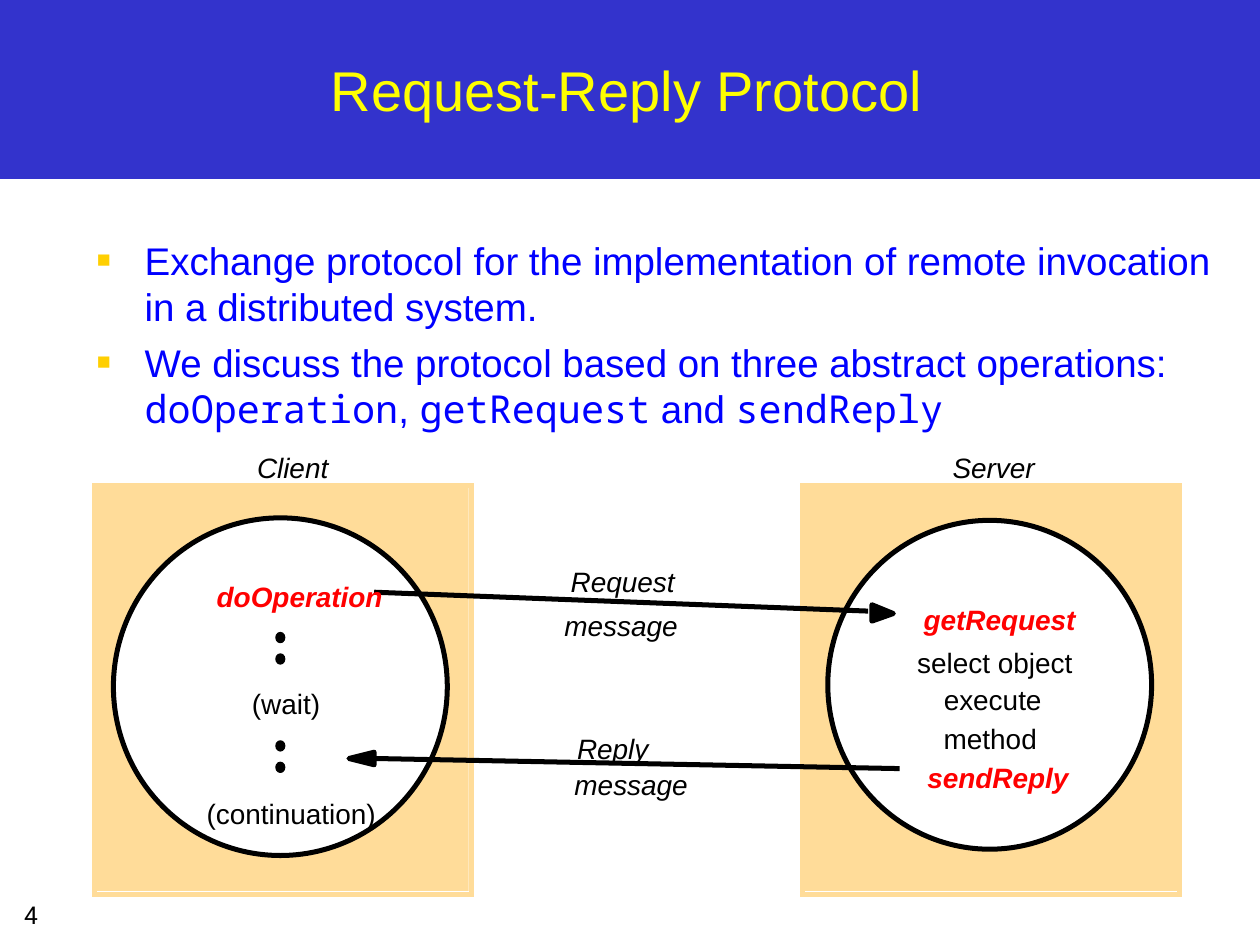
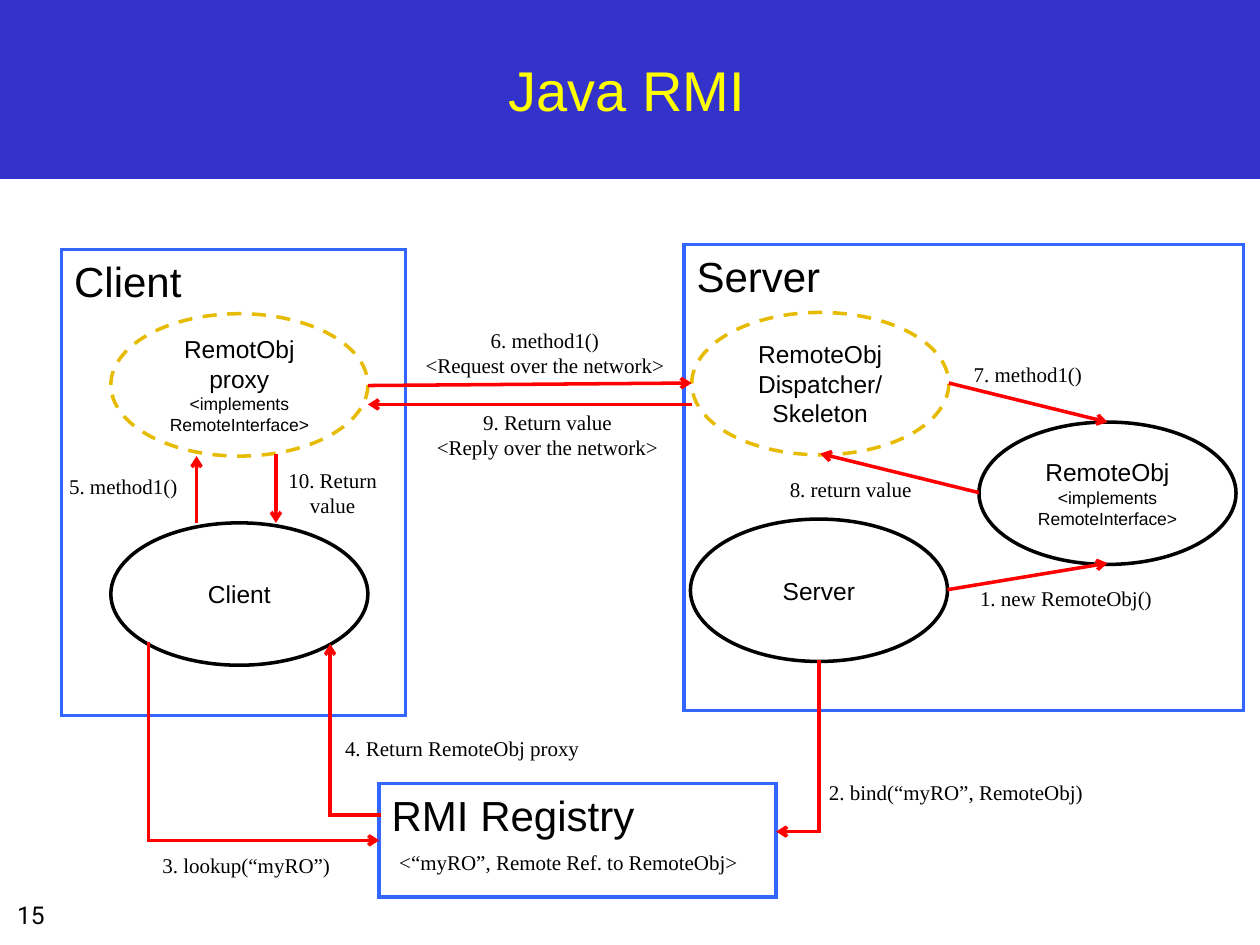
from dataclasses import dataclass
from itertools import pairwise
from typing import NamedTuple

import lxml.etree
import pptx
import pptx.dml.color
import pptx.enum.dml
import pptx.enum.shapes
import pptx.enum.text
import pptx.oxml.ns
import pptx.presentation
import pptx.shapes.autoshape
import pptx.slide
import pptx.text.text
import pptx.util

COLUMNS, ROWS = 100, 75
CELL = pptx.util.Inches(0.1)
LABEL_SLACK = 3
SHAPES = pptx.enum.shapes.MSO_SHAPE
ALIGN = pptx.enum.text.PP_ALIGN
ANCHOR = pptx.enum.text.MSO_ANCHOR
qn = pptx.oxml.ns.qn


@dataclass(frozen=True)
class Theme:
    sans: str = "Arial"
    mono: str = "Noto Sans Mono"
    serif: str = "Times New Roman"
    number_font: str = "Roboto"
    black: str = "000000"
    white: str = "FFFFFF"
    band: str = "3333CC"
    title: str = "FFFF00"
    body: str = "0000FF"
    bullet: str = "FFCF01"
    host: str = "FFDC99"
    red: str = "FF0000"
    panel: str = "3366FF"
    remote: str = "E7BB01"
    title_size: int = 32
    panel_size: int = 24
    body_size: int = 22
    message_size: int = 16
    node_size: int = 14
    step_size: int = 12
    detail_size: int = 10
    heavy: float = 2.86
    medium: float = 2
    thin: float = 0.75


THEME = Theme()


class Box(NamedTuple):
    column: float
    row: float
    columns: float
    rows: float


class Point(NamedTuple):
    column: float
    row: float


class Style(NamedTuple):
    font: str
    size: int
    color: str = THEME.black
    bold: bool = False
    italic: bool = False


class Label(NamedTuple):
    text: str
    box: Box
    style: Style
    align: ALIGN = ALIGN.LEFT


class Node(NamedTuple):
    label: str
    column: float
    row: float
    detail: str = ""
    remote: bool = False


TITLE = Style(THEME.sans, THEME.title_size, THEME.title)
NUMBER = Style(THEME.number_font, THEME.node_size)
BODY = Style(THEME.sans, THEME.body_size, THEME.body)
CODE = BODY._replace(font=THEME.mono)
PLAIN = Style(THEME.sans, THEME.message_size)
ITALIC = PLAIN._replace(italic=True)
OPERATION = Style(THEME.sans, THEME.message_size, THEME.red, True, True)
PANEL = Style(THEME.sans, THEME.panel_size)
NODE = Style(THEME.sans, THEME.node_size)
DETAIL = Style(THEME.sans, THEME.detail_size)
STEP = Style(THEME.serif, THEME.step_size)


def grid(*cells: float) -> list[int]:
    return [round(cell * CELL) for cell in cells]


def rgb(color: str) -> pptx.dml.color.RGBColor:
    return pptx.dml.color.RGBColor.from_string(color)


def format_font(font: pptx.text.text.Font, style: Style) -> None:
    font.name = style.font
    font.size = pptx.util.Pt(style.size)
    font.color.rgb = rgb(style.color)
    font.bold = style.bold
    font.italic = style.italic


def write(frame: pptx.text.text.TextFrame, text: str, style: Style, align: ALIGN) -> None:
    frame.text = text
    for paragraph in frame.paragraphs:
        paragraph.alignment = align
        for run in paragraph.runs:
            format_font(run.font, style)


def paint(shape: pptx.shapes.autoshape.Shape, fill: str = "", line: str = "", width: float = 0) -> None:
    shape.shadow.inherit = False
    if fill:
        shape.fill.solid()
        shape.fill.fore_color.rgb = rgb(fill)
    else:
        shape.fill.background()
    if line:
        shape.line.color.rgb = rgb(line)
        shape.line.width = pptx.util.Pt(width)
    else:
        shape.line.fill.background()


def add_figure(slide: pptx.slide.Slide, kind: SHAPES, box: Box, fill: str = "",
               line: str = "", width: float = 0) -> pptx.shapes.autoshape.Shape:
    shape = slide.shapes.add_shape(kind, *grid(*box))
    paint(shape, fill, line, width)
    if line and kind == SHAPES.RECTANGLE:
        outline = shape.element.find(qn("p:spPr")).find(qn("a:ln"))
        lxml.etree.SubElement(outline, qn("a:miter"), lim="800000")
    return shape


def add_label(slide: pptx.slide.Slide, label: Label, inset: bool = True) -> None:
    column, row, columns, rows = label.box
    if label.align == ALIGN.CENTER:
        column -= LABEL_SLACK / 2
    frame = slide.shapes.add_textbox(*grid(column, row, columns + LABEL_SLACK, rows)).text_frame
    frame.word_wrap = True
    if not inset:
        frame.margin_left = frame.margin_right = frame.margin_top = frame.margin_bottom = 0
    write(frame, label.text, label.style, label.align)


def add_route(slide: pptx.slide.Slide, points: list[Point], color: str, width: float,
              arrow: bool = True, target: pptx.shapes.autoshape.Shape | None = None) -> None:
    for start, end in pairwise(points):
        connector = slide.shapes.add_connector(
            pptx.enum.shapes.MSO_CONNECTOR.STRAIGHT, *grid(*start, *end))
        connector.line.color.rgb = rgb(color)
        connector.line.width = pptx.util.Pt(width)
        properties = connector.element.find(qn("p:spPr"))
        outline = properties.find(qn("a:ln"))
        if len(points) > 2:
            outline.set("cap", "sq")
        if end == points[-1]:
            if arrow:
                lxml.etree.SubElement(outline, qn("a:tailEnd"), type="arrow")
            if target:
                connector.end_connect(target, 1)
        lxml.etree.SubElement(properties, qn("a:effectLst"))


def add_slide(presentation: pptx.presentation.Presentation, title: str, number: int) -> pptx.slide.Slide:
    slide = presentation.slides.add_slide(presentation.slide_layouts[6])
    add_figure(slide, SHAPES.RECTANGLE, Box(0, 0, COLUMNS, 14.2), THEME.band)
    add_label(slide, Label(str(number), Box(1.5, 70.9, 1.9, 3.7), NUMBER, ALIGN.CENTER))
    frame = slide.shapes.add_textbox(*grid(1.7, 1.7, 96.1, 10.8)).text_frame
    frame.word_wrap = True
    frame.vertical_anchor = ANCHOR.MIDDLE
    write(frame, title, TITLE, ALIGN.CENTER)
    return slide


def add_bullets(slide: pptx.slide.Slide, box: Box, bullets: list[list[tuple[str, Style]]]) -> None:
    frame = slide.shapes.add_textbox(*grid(*box)).text_frame
    frame.word_wrap = True
    for index, pieces in enumerate(bullets):
        paragraph = frame.add_paragraph() if index else frame.paragraphs[0]
        properties = paragraph._p.get_or_add_pPr()
        indent = grid(3.8)[0]
        properties.set("marL", str(indent))
        properties.set("indent", str(-indent))
        color = lxml.etree.SubElement(properties, qn("a:buClr"))
        lxml.etree.SubElement(color, qn("a:srgbClr"), val=THEME.bullet)
        lxml.etree.SubElement(properties, qn("a:buSzPct"), val="60000")
        lxml.etree.SubElement(properties, qn("a:buFont"), typeface=THEME.sans)
        lxml.etree.SubElement(properties, qn("a:buChar"), char="■")
        if index:
            paragraph.space_before = pptx.util.Pt(5.5)
        for text, style in pieces:
            run = paragraph.add_run()
            run.text = text
            format_font(run.font, style)


def add_host(slide: pptx.slide.Slide, column: float, process: Box) -> None:
    add_figure(slide, SHAPES.RECTANGLE, Box(column, 38.5, 29.7, 32.2), THEME.host)
    add_figure(slide, SHAPES.RECTANGLE, Box(column, 38.5, 29.9, 32.5), "", THEME.host, THEME.heavy)
    add_figure(slide, SHAPES.OVAL, process, THEME.white, THEME.black, THEME.heavy)


def add_arrowhead(slide: pptx.slide.Slide, corners: list[Point]) -> None:
    builder = slide.shapes.build_freeform(*grid(*corners[0]))
    builder.add_line_segments([grid(*corner) for corner in corners[1:]], close=True)
    paint(builder.convert_to_shape(), THEME.black, THEME.black, THEME.heavy)


def add_panel(slide: pptx.slide.Slide, text: str, box: Box) -> pptx.shapes.autoshape.Shape:
    panel = add_figure(slide, SHAPES.RECTANGLE, box, THEME.white, THEME.panel, THEME.medium)
    panel.text_frame.vertical_anchor = ANCHOR.TOP
    write(panel.text_frame, text, PANEL, ALIGN.LEFT)
    return panel


def add_node(slide: pptx.slide.Slide, node: Node) -> None:
    line = THEME.remote if node.remote else THEME.black
    shape = add_figure(slide, SHAPES.OVAL, Box(node.column, node.row, 20.4, 11.3),
                       THEME.white, line, THEME.medium)
    if node.remote:
        shape.line.dash_style = pptx.enum.dml.MSO_LINE.DASH
    frame = shape.text_frame
    frame.vertical_anchor = ANCHOR.MIDDLE
    write(frame, "\n".join(filter(None, (node.label, node.detail))), NODE, ALIGN.CENTER)
    if node.detail:
        format_font(frame.paragraphs[-1].runs[0].font, DETAIL)


def build_protocol(presentation: pptx.presentation.Presentation) -> None:
    slide = add_slide(presentation, "Request-Reply Protocol", 4)
    add_bullets(slide, Box(6.7, 18.3, 90.8, 48.7), [
        [("Exchange protocol for the implementation of remote invocation in a distributed system.", BODY)],
        [("We discuss the protocol based on three abstract operations: ", BODY), ("doOperation", CODE),
         (", ", BODY), ("getRequest", CODE), (" and ", BODY), ("sendReply", CODE)],
    ])
    add_host(slide, 63.7, Box(65.7, 41.3, 25.7, 26.1))
    add_host(slide, 7.5, Box(9, 41.1, 26.5, 26.8))
    add_route(slide, [Point(29.7, 47), Point(68.9, 48.5)], THEME.black, THEME.heavy, arrow=False)
    add_route(slide, [Point(29.7, 60.2), Point(71.4, 61)], THEME.black, THEME.heavy, arrow=False)
    add_arrowhead(slide, [Point(69.2, 48), Point(70.9, 48.7), Point(69.2, 49.3)])
    add_arrowhead(slide, [Point(29.7, 60.7), Point(27.7, 60.2), Point(29.7, 59.7)])
    for text, column, row, columns, style in (
        ("Client", 20.4, 35.8, 5.7, ITALIC),
        ("Server", 75.6, 35.8, 6.5, ITALIC),
        ("Request", 45.3, 44.8, 8.3, ITALIC),
        ("message", 44.8, 48.3, 9, ITALIC),
        ("Reply", 45.8, 58.1, 5.7, ITALIC),
        ("message", 45.6, 60.9, 9, ITALIC),
        ("doOperation", 17.2, 46, 13.2, OPERATION),
        ("(wait)", 20, 54.5, 5.4, PLAIN),
        ("(continuation)", 16.4, 63.2, 13.4, PLAIN),
        ("getRequest", 73.3, 47.8, 12.1, OPERATION),
        ("select object", 72.8, 51.2, 12.3, PLAIN),
        ("execute", 74.9, 54.2, 7.8, PLAIN),
        ("method", 74.9, 57.3, 7.4, PLAIN),
        ("sendReply", 73.6, 60.4, 11.2, OPERATION),
    ):
        add_label(slide, Label(text, Box(column, row, columns, 2.7), style), inset=False)
    for pause in (50.2, 58.8):
        for row in (pause, pause + 1.7):
            add_figure(slide, SHAPES.OVAL, Box(21.9, row, 0.7, 0.8), THEME.black, THEME.black, THEME.thin)


def build_rmi(presentation: pptx.presentation.Presentation) -> None:
    slide = add_slide(presentation, "Java RMI", 15)
    add_panel(slide, "Client", Box(4.9, 19.8, 27.3, 37))
    add_panel(slide, "Server", Box(54.3, 19.4, 44.4, 37))
    registry = add_panel(slide, "RMI Registry", Box(30.1, 62.2, 31.5, 9))
    interface = "<implements RemoteInterface>"
    for node in (
        Node("RemotObj proxy", 8.8, 24.9, interface, remote=True),
        Node("Client", 8.8, 41.5),
        Node("RemoteObj", 77.7, 33.5, interface),
        Node("Server", 54.8, 41.2),
        Node("RemoteObj Dispatcher/\nSkeleton", 54.9, 24.8, remote=True),
    ):
        add_node(slide, node)
    for points, target in (
        ([Point(75.2, 46.8), Point(87.9, 44.7)], None),
        ([Point(65, 52.5), Point(65, 66), Point(61.6, 66)], None),
        ([Point(11.8, 51.1), Point(11.8, 66.7), Point(30.1, 66.7)], registry),
        ([Point(30.1, 64.7), Point(26.2, 64.7), Point(26.2, 51.1)], None),
        ([Point(15.6, 41.5), Point(15.6, 36.2)], None),
        ([Point(29.2, 30.6), Point(54.9, 30.4)], None),
        ([Point(75.3, 30.4), Point(87.9, 33.5)], None),
        ([Point(77.7, 39.1), Point(65.1, 36)], None),
        ([Point(54.9, 32.1), Point(29.2, 32.1)], None),
        ([Point(21.9, 36), Point(21.9, 41.5)], None),
    ):
        add_route(slide, points, THEME.red, THEME.medium, target=target)
    for text, column, row, columns in (
        ("<“myRO”, Remote Ref. to RemoteObj>", 30.7, 66.9, 28.9),
        ("1. new RemoteObj()", 76.8, 46, 15.6),
        ("2. bind(“myRO”, RemoteObj)", 64.8, 61.4, 22.2),
        ("3. lookup(“myRO”)", 11.9, 67.2, 15.3),
        ("4. Return RemoteObj proxy", 26.4, 57.9, 20.6),
        ("5. method1()", 4.5, 37.1, 10.6),
        ("6. method1()\n<Request over the network>", 32.8, 25.5, 20.9),
        ("7. method1()", 76.3, 28.2, 10.6),
        ("8. return value", 61.7, 37.3, 11.6),
        ("9. Return value\n<Reply over the network>", 33.7, 32, 19.5),
        ("10. Return\nvalue", 21.9, 36.6, 9),
    ):
        breaks = text.count("\n")
        align = ALIGN.CENTER if breaks else ALIGN.LEFT
        add_label(slide, Label(text, Box(column, row, columns, 3 + 2 * breaks), STEP, align))


def main() -> None:
    presentation = pptx.Presentation()
    presentation.slide_width, presentation.slide_height = grid(COLUMNS, ROWS)
    build_protocol(presentation)
    build_rmi(presentation)
    presentation.save("out.pptx")


if __name__ == "__main__":
    main()
